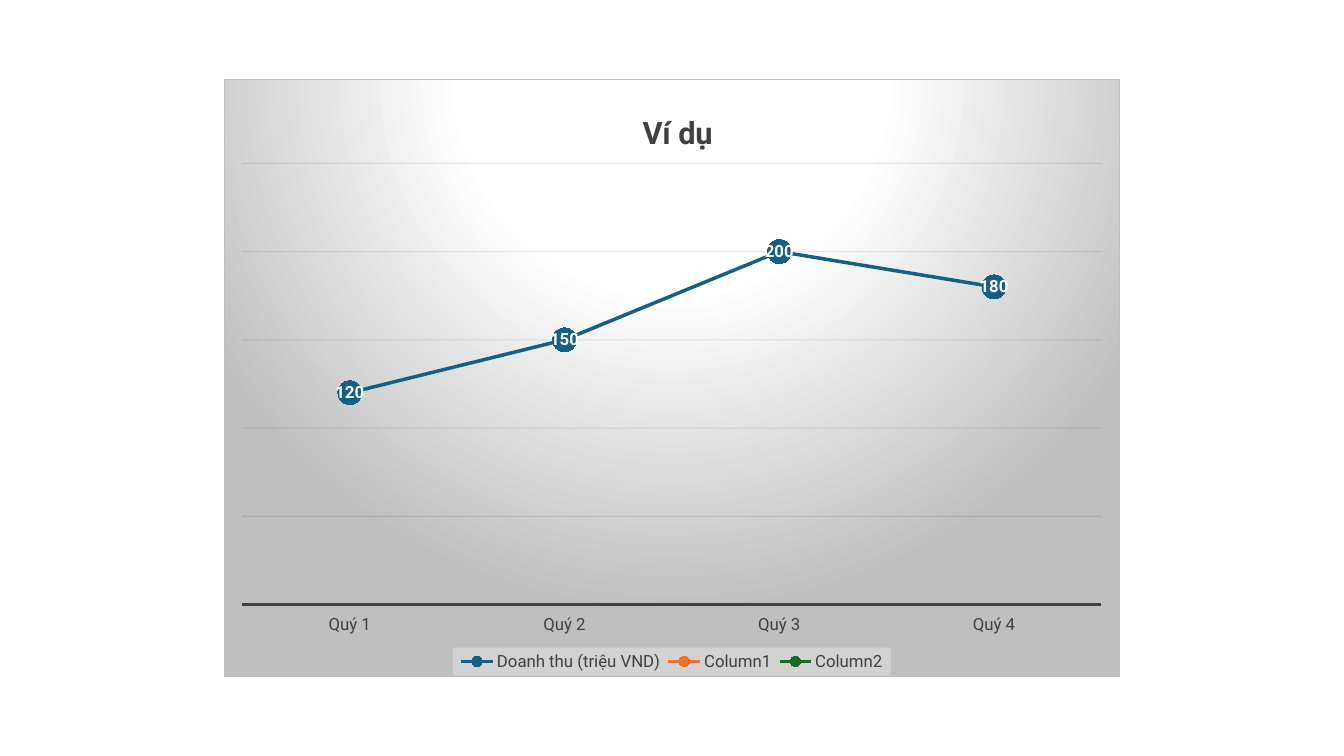
"""Builds a slide with one line chart of quarterly revenue."""
from lxml.etree import fromstring
from pptx import Presentation
from pptx.chart.data import CategoryChartData
from pptx.dml.color import RGBColor
from pptx.enum.chart import (XL_CHART_TYPE, XL_LABEL_POSITION, XL_LEGEND_POSITION,
                             XL_MARKER_STYLE, XL_TICK_LABEL_POSITION, XL_TICK_MARK)
from pptx.oxml.ns import qn
from pptx.util import Emu, Pt

PX = 914400 / 100.8
FONT = "Roboto"
WHITE = RGBColor(0xFF, 0xFF, 0xFF)
BLACK = RGBColor(0, 0, 0)
INK = RGBColor(0x40, 0x40, 0x40)
GRID = RGBColor(0x0D, 0x0D, 0x0D)
BLUE = RGBColor(0x15, 0x60, 0x82)
ORANGE = RGBColor(0xE9, 0x71, 0x32)
GREEN = RGBColor(0x19, 0x6B, 0x24)
NS = ('xmlns:c="http://schemas.openxmlformats.org/drawingml/2006/chart" '
      'xmlns:a="http://schemas.openxmlformats.org/drawingml/2006/main"')
LEFT, TOP, WIDE, HIGH = 224, 79, 896, 598


def style(font, size, color, bold=False):
    font.name, font.size, font.bold = FONT, Pt(size), bold
    font.color.rgb = color


def place(part, index, x, y, w=None, h=None, inner=False):
    for old in part.findall(qn("c:layout")):
        part.remove(old)
    target = '<c:layoutTarget val="inner"/>' if inner else ""
    modes = '<c:xMode val="edge"/><c:yMode val="edge"/>'
    sizes = {"x": (x - LEFT) / WIDE, "y": (y - TOP) / HIGH}
    if w:
        sizes.update(w=w / WIDE, h=h / HIGH)
    spots = "".join(f'<c:{key} val="{val:.4f}"/>' for key, val in sizes.items())
    part.insert(index, fromstring(
        f"<c:layout {NS}><c:manualLayout>{target}{modes}{spots}"
        "</c:manualLayout></c:layout>"))


deck = Presentation()
deck.slide_width, deck.slide_height = Emu(round(1344 * PX)), Emu(round(756 * PX))
slide = deck.slides.add_slide(deck.slide_layouts[6])

data = CategoryChartData()
data.categories = ["Quý 1", "Quý 2", "Quý 3", "Quý 4"]
data.add_series("Doanh thu (triệu VND)", [120, 150, 200, 180])
for name in ("Column1", "Column2"):
    data.add_series(name, [None] * 4)
box = [Emu(round(n * PX)) for n in (LEFT, TOP, WIDE, HIGH)]
chart = slide.shapes.add_chart(XL_CHART_TYPE.LINE_MARKERS, *box, data).chart
style(chart.font, 10, BLACK)

chart.has_title = True
title = chart.chart_title
title.text_frame.text = "Ví dụ"
style(title.text_frame.paragraphs[0].font, 22, INK, True)
title.include_in_layout = False

for series, color in zip(chart.plots[0].series, (BLUE, ORANGE, GREEN)):
    series.smooth = False
    series.format.line.color.rgb = color
    series.format.line.width = Pt(2.5)
    mark = series.marker
    mark.style, mark.size = XL_MARKER_STYLE.CIRCLE, 17
    mark.format.fill.solid()
    mark.format.fill.fore_color.rgb = color
    mark.format.line.color.rgb = color
    labels = series.data_labels
    labels.show_value = True
    labels.position = XL_LABEL_POSITION.CENTER
    style(labels.font, 12, WHITE, True)

base = chart.category_axis
base.major_tick_mark = base.minor_tick_mark = XL_TICK_MARK.NONE
base.tick_label_position = XL_TICK_LABEL_POSITION.LOW
base.format.line.color.rgb = INK
base.format.line.width = Pt(1.5)
style(base.tick_labels.font, 12, INK)

scale = chart.value_axis
scale.visible = False
scale.minimum_scale, scale.maximum_scale, scale.major_unit = 0, 250, 50
scale.has_major_gridlines = True
lines = scale.major_gridlines.format.line
lines.color.rgb = GRID
lines.width = Pt(0.75)
shade = scale._element.find(".//" + qn("c:majorGridlines")).find(".//" + qn("a:srgbClr"))
shade.append(fromstring(f'<a:alpha {NS} val="10000"/>'))

chart.has_legend = True
legend = chart.legend
legend.position = XL_LEGEND_POSITION.BOTTOM
legend.include_in_layout = False
style(legend.font, 12, INK)
key = legend._element
key.find(qn("c:txPr")).addprevious(fromstring(
    f'<c:spPr {NS}><a:solidFill><a:srgbClr val="F2F2F2"><a:alpha val="39000"/>'
    "</a:srgbClr></a:solidFill><a:ln><a:noFill/></a:ln></c:spPr>"))

root = chart._chartSpace
body = root.find(qn("c:chart"))
place(body.find(qn("c:plotArea")), 0, 242, 163, 860, 442, True)
place(title._element, 1, 637, 106)
place(key, 1, 453, 648, 438, 28)

stops = "".join(f'<a:gs pos="{pos}000"><a:srgbClr val="{tone}"/></a:gs>'
                for pos, tone in ((0, "FFFFFF"), (39, "FFFFFF"), (100, "BFBFBF")))
body.addnext(fromstring(
    f'<c:spPr {NS}><a:gradFill><a:gsLst>{stops}</a:gsLst><a:path path="circle">'
    '<a:fillToRect l="50000" t="-80000" r="50000" b="180000"/></a:path></a:gradFill>'
    '<a:ln w="9525"><a:solidFill><a:srgbClr val="BFBFBF"/></a:solidFill></a:ln></c:spPr>'))
root.find(qn("c:date1904")).addnext(fromstring(f'<c:roundedCorners {NS} val="0"/>'))

deck.save("out.pptx")
